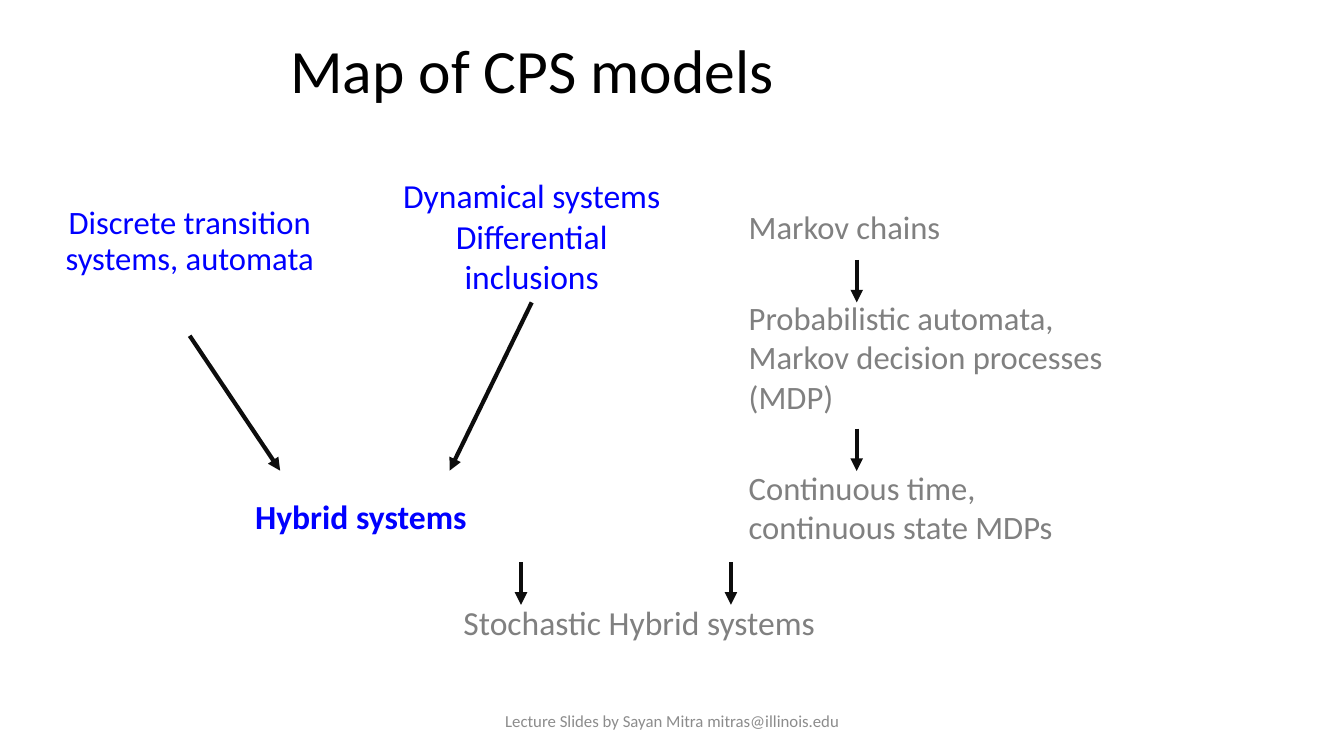
from dataclasses import dataclass

from lxml import etree
from pptx import Presentation
from pptx import util as u
from pptx.dml.color import RGBColor
from pptx.enum import shapes, text
from pptx.oxml.ns import qn
from pptx.shapes.autoshape import Shape
from pptx.shapes.connector import Connector
from pptx.slide import Slide

INK = {"title": "000000", "known": "0000FF", "later": "808080",
       "foot": "8C8C8C", "arrow": "0D0D0D"}
FONT = "Calibri"
DROP = 1.07


@dataclass
class Label:
    lines: list[str]
    left: float
    top: float
    width: float
    height: float
    size: float
    ink: str
    align: text.PP_ALIGN = text.PP_ALIGN.CENTER
    anchor: text.MSO_ANCHOR = text.MSO_ANCHOR.TOP
    bold: bool = False
    wrap: bool = True
    space: float = 1.0
    gap: float = 0


@dataclass
class Arrow:
    x: float
    y: float
    to_x: float
    to_y: float


def fill(box: Shape, label: Label) -> Shape:
    box.left, box.top = u.Cm(label.left), u.Cm(label.top)
    box.width, box.height = u.Cm(label.width), u.Cm(label.height)
    frame = box.text_frame
    frame.word_wrap = label.wrap
    frame.auto_size = text.MSO_AUTO_SIZE.NONE
    frame.vertical_anchor = label.anchor
    for i, line in enumerate(label.lines):
        para = frame.add_paragraph() if i else frame.paragraphs[0]
        para.alignment = label.align
        para.line_spacing = label.space
        para.space_before = u.Pt(label.gap if i else 0)
        run = para.add_run()
        run.text = line
        run.font.name = FONT
        run.font.size = u.Pt(label.size)
        run.font.bold = label.bold
        run.font.color.rgb = RGBColor.from_string(INK[label.ink])
    return box


def write(slide: Slide, label: Label) -> Shape:
    return fill(slide.shapes.add_textbox(0, 0, 0, 0), label)


def draw(slide: Slide, arrow: Arrow) -> Connector:
    line = slide.shapes.add_connector(
        shapes.MSO_CONNECTOR.STRAIGHT, u.Cm(arrow.x), u.Cm(arrow.y),
        u.Cm(arrow.to_x), u.Cm(arrow.to_y))
    line.line.width = u.Pt(3)
    line.line.color.rgb = RGBColor.from_string(INK["arrow"])
    props = line._element.spPr
    etree.SubElement(props.find(qn("a:ln")), qn("a:tailEnd"), type="triangle")
    etree.SubElement(props, qn("a:effectLst"))
    return line


def main() -> None:
    deck = Presentation()
    deck.slide_width, deck.slide_height = u.Cm(33.87), u.Cm(19.05)
    slide = deck.slides.add_slide(deck.slide_layouts[1])
    left, mid = text.PP_ALIGN.LEFT, text.MSO_ANCHOR.MIDDLE

    fill(slide.shapes.title, Label(
        ["Map of CPS models"], 7.06, 0.25, 19.71, 3.2, 44, "title",
        align=left, anchor=mid, space=0.9))

    body = slide.placeholders[1]
    props = body.text_frame.paragraphs[0]._p.get_or_add_pPr()
    props.set("marL", "0")
    props.set("indent", "0")
    etree.SubElement(props, qn("a:buNone"))
    fill(body, Label(["Discrete transition systems, automata"],
                     1.07, 5.08, 7.42, 3.38, 23.3, "known", space=0.9))

    flow = write(slide, Label(["Dynamical systems", "Differential inclusions"],
                              9.55, 4.29, 7.7, 3.33, 24, "known"))
    for label in (
        Label(["Hybrid systems"], 6.15, 12.37, 5.89, 1.27, 24, "known",
              bold=True, wrap=False),
        Label(["Markov chains",
               "Probabilistic automata, Markov decision processes (MDP)",
               "Continuous time, continuous state MDPs"],
              18.62, 5.08, 9.5, 9.83, 23.3, "later", align=left, gap=37.5),
        Label(["Stochastic Hybrid systems"], 11.43, 15.04, 9.45, 1.27, 24,
              "later", align=left, wrap=False),
        Label(["Lecture Slides by Sayan Mitra mitras@illinois.edu"],
              11.23, 17.65, 11.43, 1.02, 12, "foot", anchor=mid),
    ):
        write(slide, label)

    for box, arrow in ((body, Arrow(4.78, 8.46, 7.06, 11.86)),
                       (flow, Arrow(13.4, 7.62, 11.33, 11.86))):
        draw(slide, arrow).begin_connect(box, 2)
    for x, y in ((21.59, 6.55), (21.59, 10.8), (13.13, 14.17), (18.42, 14.17)):
        draw(slide, Arrow(x, y, x, y + DROP))

    deck.save("out.pptx")


if __name__ == "__main__":
    main()
